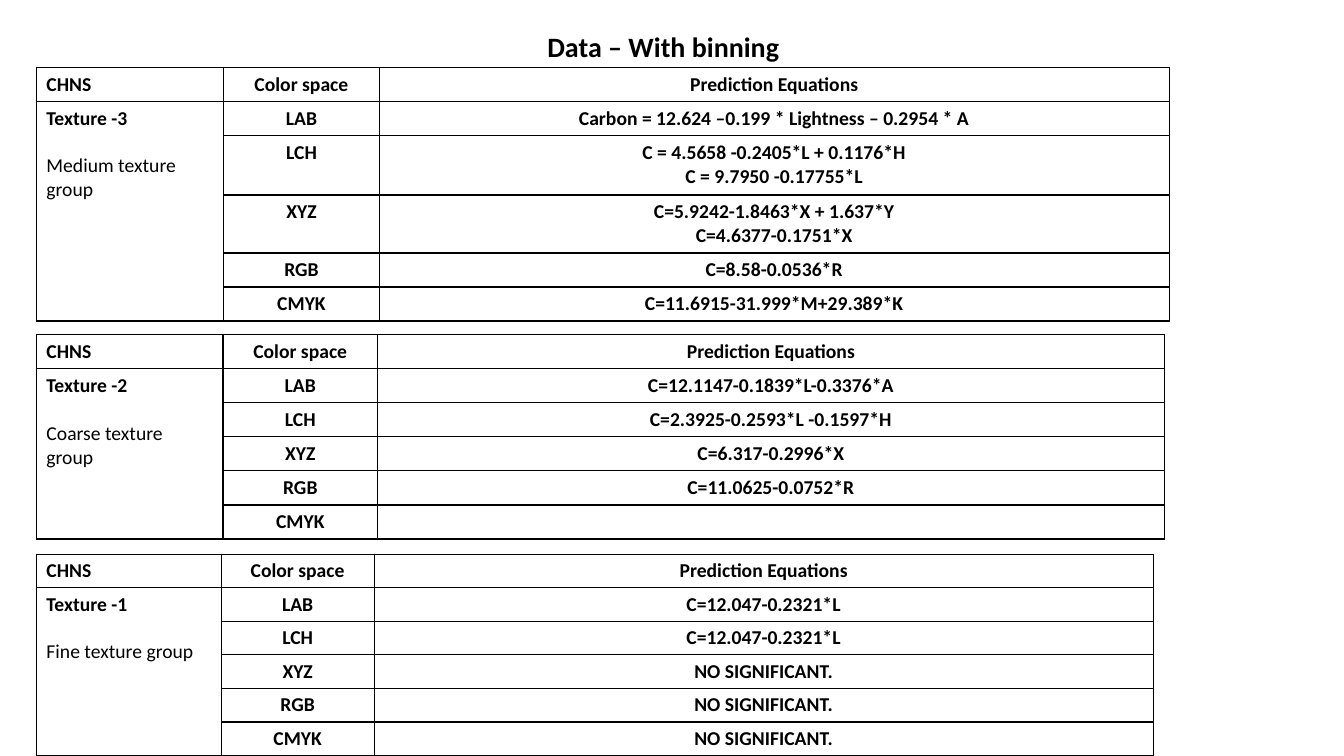
from dataclasses import dataclass

from lxml import etree
from pptx import Presentation
from pptx.dml.color import RGBColor
from pptx.enum import text
from pptx.oxml import ns
from pptx.util import Pt

TITLE = "Data – With binning"
HEADER = ["CHNS", "Color space", "Prediction Equations"]
SPACES = ["LAB", "LCH", "XYZ", "RGB", "CMYK"]
TABLES = [
    dict(top=48.3, width=809.3, rows=[24.3, 24.3, 42.4, 41.4, 24.3, 24.3], pad=3.6,
         group=["Texture -3", "Medium texture group"],
         equations=[["Carbon = 12.624 –0.199 * Lightness – 0.2954 * A"],
                    ["C = 4.5658 -0.2405*L + 0.1176*H", "C = 9.7950 -0.17755*L"],
                    ["C=5.9242-1.8463*X + 1.637*Y", "C=4.6377-0.1751*X"],
                    ["C=8.58-0.0536*R"],
                    ["C=11.6915-31.999*M+29.389*K"]]),
    dict(top=239.2, width=805.7, rows=[24.3] * 6, pad=3.6,
         group=["Texture -2", "Coarse texture group"],
         equations=[["C=12.1147-0.1839*L-0.3376*A"], ["C=2.3925-0.2593*L -0.1597*H"],
                    ["C=6.317-0.2996*X"], ["C=11.0625-0.0752*R"], []]),
    dict(top=395.8, width=797.8, rows=[24] * 6, pad=3.4,
         group=["Texture -1", "Fine texture group"],
         equations=[["C=12.047-0.2321*L"]] * 2 + [["NO SIGNIFICANT."]] * 3),
]
LEFT = 26
SHARES = [0.1655, 0.137, 0.6975]


@dataclass(frozen=True)
class Theme:
    font: str = "Calibri"
    ink: str = "000000"
    title: int = 20
    body: int = 14
    gap: int = 17
    border: int = 1


T = Theme()


def add_run(p, words, size, bold=True):
    r = p.add_run()
    r.text = words
    r.font.name, r.font.size, r.font.bold = T.font, Pt(size), bold
    r.font.color.rgb = RGBColor.from_string(T.ink)


def style_cell(cell, pad):
    tcPr = cell._tc.get_or_add_tcPr()
    for side in "LRTB":
        ln = etree.SubElement(tcPr, ns.qn(f"a:ln{side}"), w=str(Pt(T.border)))
        fill = etree.SubElement(ln, ns.qn("a:solidFill"))
        etree.SubElement(fill, ns.qn("a:srgbClr"), val=T.ink)
    cell.fill.background()
    cell.margin_top = cell.margin_bottom = Pt(pad)
    end = cell.text_frame.paragraphs[0]._p.get_or_add_endParaRPr()
    end.set("sz", str(T.body * 100))


def write_cell(cell, lines, centred):
    tf = cell.text_frame
    for i, line in enumerate(lines):
        p = tf.add_paragraph() if i else tf.paragraphs[0]
        if centred:
            p.alignment = text.PP_ALIGN.CENTER
        elif i:
            p.space_before = Pt(T.gap)
        add_run(p, line, T.body, bold=centred or not i)


def add_equations(s, top, width, rows, pad, group, equations):
    frame = s.shapes.add_table(len(rows), len(SHARES), Pt(LEFT), Pt(top), Pt(width), Pt(sum(rows)))
    table = frame.table
    table.first_row = table.horz_banding = False
    for column, share in zip(table.columns, SHARES):
        column.width = Pt(width * share)
    for row, height in zip(table.rows, rows):
        row.height = Pt(height)
    for cell in table.iter_cells():
        style_cell(cell, pad)
    table.cell(1, 0).merge(table.cell(len(rows) - 1, 0))
    content = [[[head] for head in HEADER]]
    for i, (space, lines) in enumerate(zip(SPACES, equations)):
        content.append([[] if i else group, [space], lines])
    for i, line in enumerate(content):
        for j, lines in enumerate(line):
            write_cell(table.cell(i, j), lines, centred=j > 0)


def main():
    """Build the slide of prediction equations by texture group."""
    prs = Presentation()
    prs.slide_width, prs.slide_height = Pt(960), Pt(540)
    s = prs.slides.add_slide(prs.slide_layouts[5])
    title = s.shapes.title
    title.left, title.top, title.width, title.height = Pt(322.6), Pt(17.3), Pt(302.4), Pt(31.5)
    tf = title.text_frame
    tf.word_wrap = True
    tf.auto_size = text.MSO_AUTO_SIZE.NONE
    tf.vertical_anchor = text.MSO_ANCHOR.TOP
    p = tf.paragraphs[0]
    p.alignment = text.PP_ALIGN.CENTER
    add_run(p, TITLE, T.title)
    for spec_table in TABLES:
        add_equations(s, **spec_table)
    prs.save("out.pptx")


if __name__ == "__main__":
    main()
